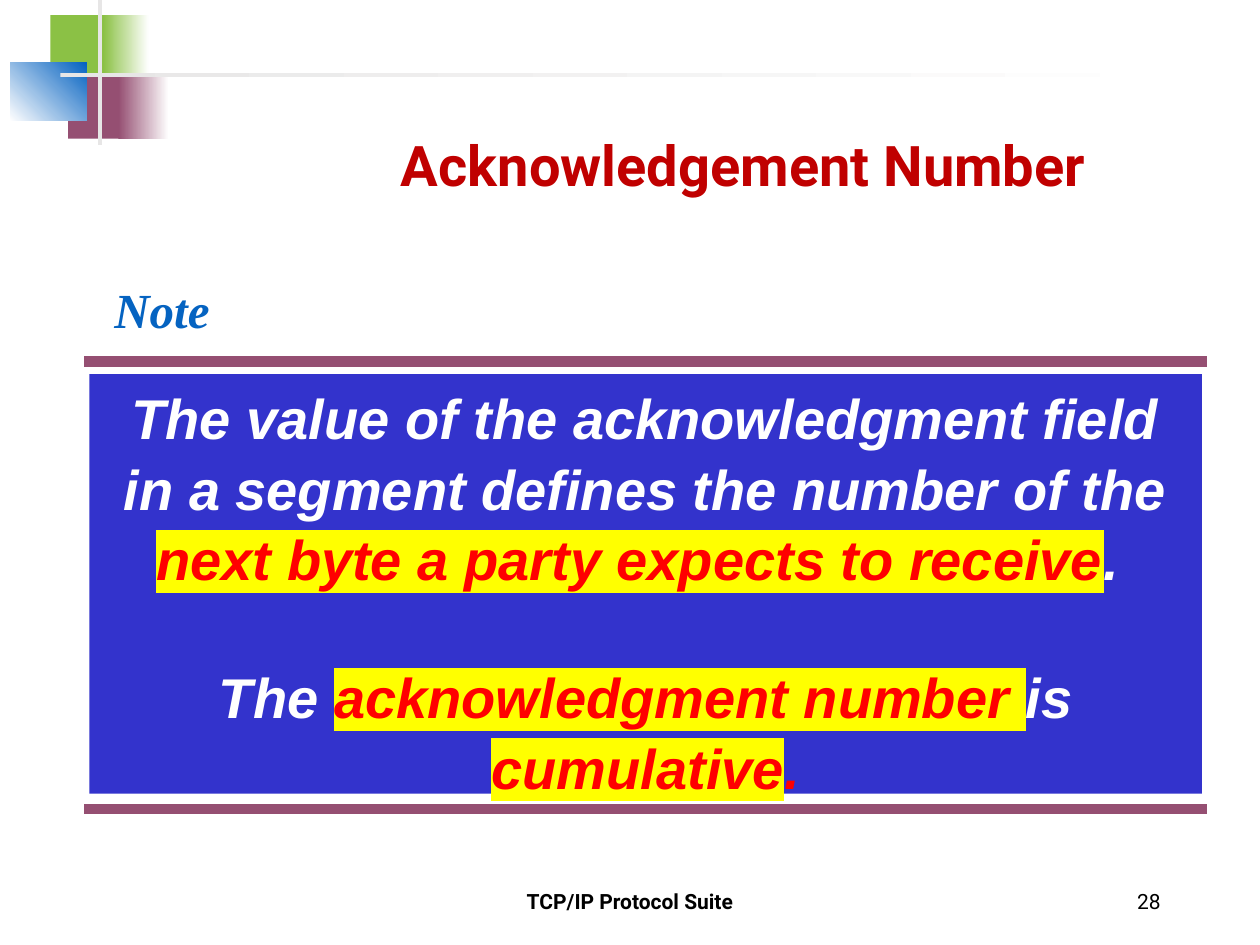
from lxml import etree
from pptx import Presentation
from pptx.dml.color import RGBColor
from pptx.enum.shapes import MSO_CONNECTOR, MSO_SHAPE
from pptx.enum.text import MSO_ANCHOR, PP_ALIGN
from pptx.oxml.ns import qn
from pptx.util import Inches, Pt

COLORS = {
    "green": "8BC145", "plum": "954F72", "blue": "0563C1", "gray": "E7E6E6",
    "white": "FFFFFF", "black": "000000", "panel": "3333CC",
    "red": "FF0000", "yellow": "FFFF00", "title": "C00000",
}


def rgb(name):
    return RGBColor.from_string(COLORS[name])


def add_span(para, text, color, highlight=None, **font_format):
    """Append a formatted run, with a highlight colour if one is named."""
    span = para.add_run()
    span.text = text
    for attribute, value in font_format.items():
        setattr(span.font, attribute, value)
    span.font.color.rgb = rgb(color)
    if highlight:
        mark = etree.Element(qn("a:highlight"))
        etree.SubElement(mark, qn("a:srgbClr"), val=COLORS[highlight])
        span.font.fill._xPr.find(qn("a:solidFill")).addnext(mark)


deck = Presentation()
deck.slide_width, deck.slide_height = Inches(10), Inches(7.5)
page = deck.slides.add_slide(deck.slide_layouts[6])

# Corner ornament and text panel: position, start colour, end colour, angle
rectangles = [
    ((0.4, 0.12, 0.48, 0.52), "green", None, 0),
    ((0.82, 0.12, 0.36, 0.52), "green", "white", 0),
    ((0.54, 0.58, 0.46, 0.52), "plum", None, 0),
    ((0.94, 0.58, 0.4, 0.52), "plum", "white", 0),
    ((0.08, 0.5, 0.61, 0.46), "white", "blue", 45),
    ((0.78, 0, 0.03, 1.15), "gray", None, 0),
    ((0.48, 0.58, 9, 0.03), "gray", "white", 0),
    ((0.71, 2.97, 8.83, 3.33), "panel", None, 0),
]
for place, start, end, angle in rectangles:
    box = page.shapes.add_shape(MSO_SHAPE.RECTANGLE, *map(Inches, place))
    box.shadow.inherit = False
    box.line.fill.background()
    if end:
        box.fill.gradient()
        box.fill.gradient_angle = angle
        for stop, color, position in zip(box.fill.gradient_stops, (start, end), (0, 1)):
            stop.color.rgb = rgb(color)
            stop.position = position
    else:
        box.fill.solid()
        box.fill.fore_color.rgb = rgb(start)
panel = box

for y in (2.87, 6.42):
    rule = page.shapes.add_connector(
        MSO_CONNECTOR.STRAIGHT, Inches(0.67), Inches(y), Inches(9.58), Inches(y))
    rule.line.color.rgb = rgb("plum")
    rule.line.width = Pt(6)
    etree.SubElement(rule._element.spPr, qn("a:effectLst"))

# Panel statement
statement = [
    [("The value of the acknowledgment field in a segment defines the number of the ",
      "white", None),
     ("next byte a party expects to receive", "red", "yellow"),
     (". ", "white", None)],
    [("The ", "white", None),
     ("acknowledgment number ", "red", "yellow"),
     ("is ", "white", None),
     ("cumulative", "red", "yellow"),
     (".", "red", None)],
]
statement_font = {"name": "Arial", "size": Pt(32), "bold": True, "italic": True}
frame = panel.text_frame
frame.word_wrap = True
frame.vertical_anchor = MSO_ANCHOR.TOP
for index, spans in enumerate(statement):
    para = frame.add_paragraph() if index else frame.paragraphs[0]
    para.alignment = PP_ALIGN.CENTER
    para.line_spacing = 1.05
    if index:
        para.space_before = Pt(38.4)
    for text, color, highlight in spans:
        add_span(para, text, color, highlight, **statement_font)

# Single-line labels: position, text, colour, alignment, anchor, wrap, font
labels = [
    ((3.31, 6.95, 3.38, 0.4), "TCP/IP Protocol Suite", "black", PP_ALIGN.CENTER,
     MSO_ANCHOR.MIDDLE, True, {"name": "Roboto", "size": Pt(12), "bold": True}),
    ((7.06, 6.95, 2.25, 0.4), "28", "black", PP_ALIGN.RIGHT,
     MSO_ANCHOR.MIDDLE, True, {"name": "Roboto", "size": Pt(12)}),
    ((0.81, 2.17, 0.96, 0.57), "Note", "blue", PP_ALIGN.LEFT, MSO_ANCHOR.TOP, False,
     {"name": "Times New Roman", "size": Pt(28), "bold": True, "italic": True}),
    ((2.4, 0.99, 6.32, 0.64), "Acknowledgement Number", "title", PP_ALIGN.RIGHT,
     MSO_ANCHOR.TOP, False, {"name": "Roboto", "size": Pt(32), "bold": True}),
]
for place, text, color, alignment, anchor, wrap, font_format in labels:
    box = page.shapes.add_textbox(*map(Inches, place))
    box.text_frame.word_wrap = wrap
    box.text_frame.vertical_anchor = anchor
    para = box.text_frame.paragraphs[0]
    para.alignment = alignment
    add_span(para, text, color, **font_format)

deck.save("out.pptx")
